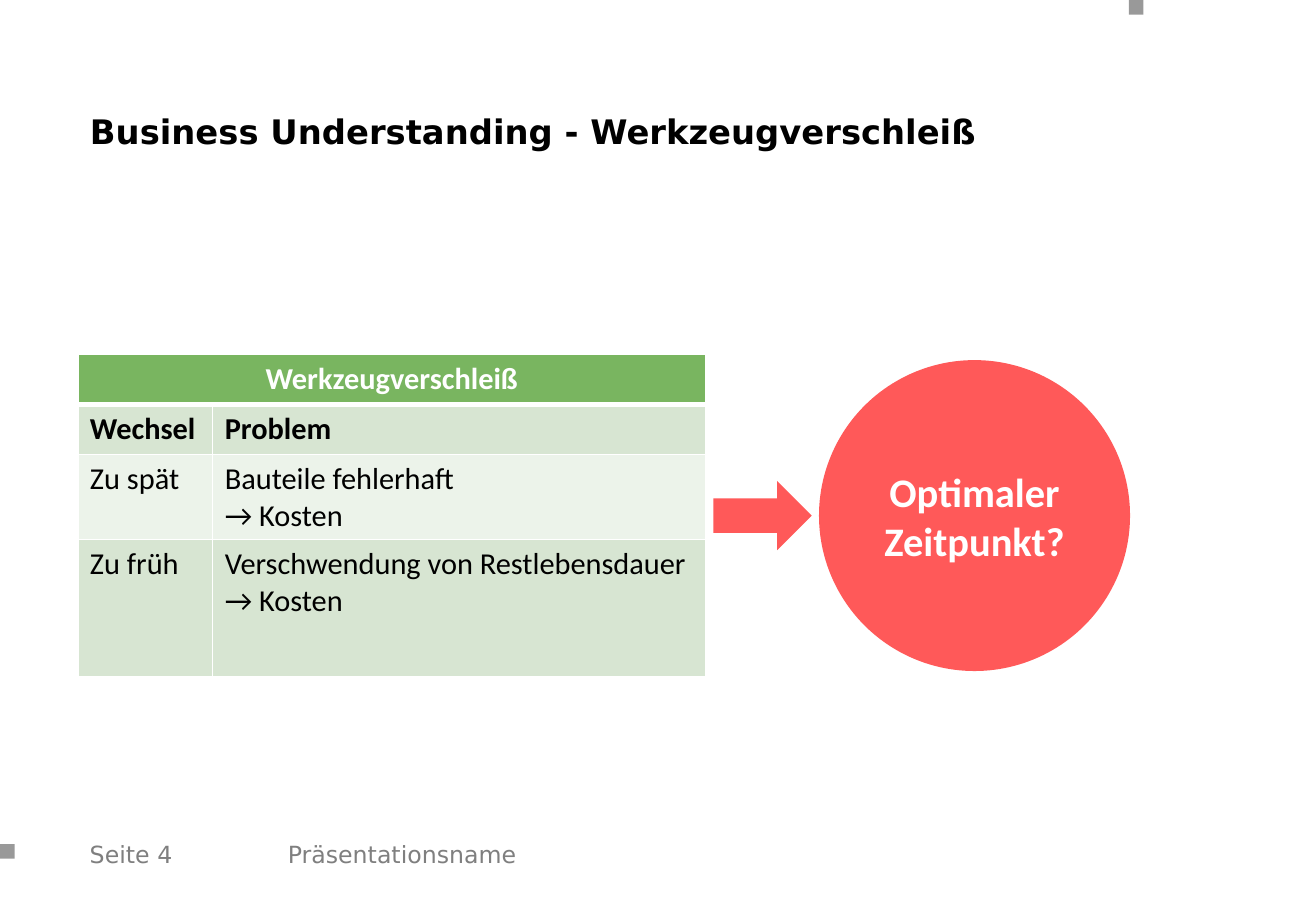
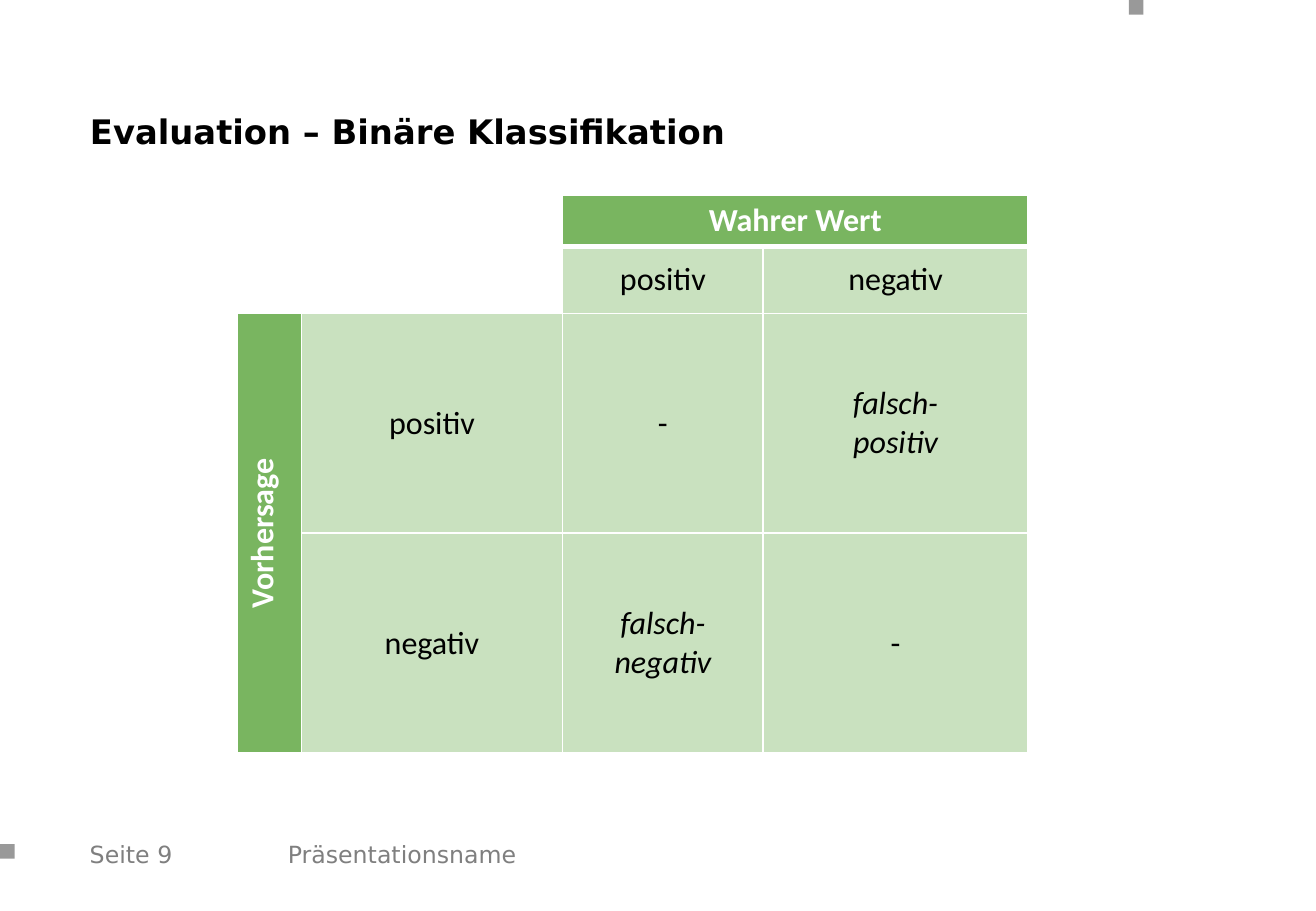
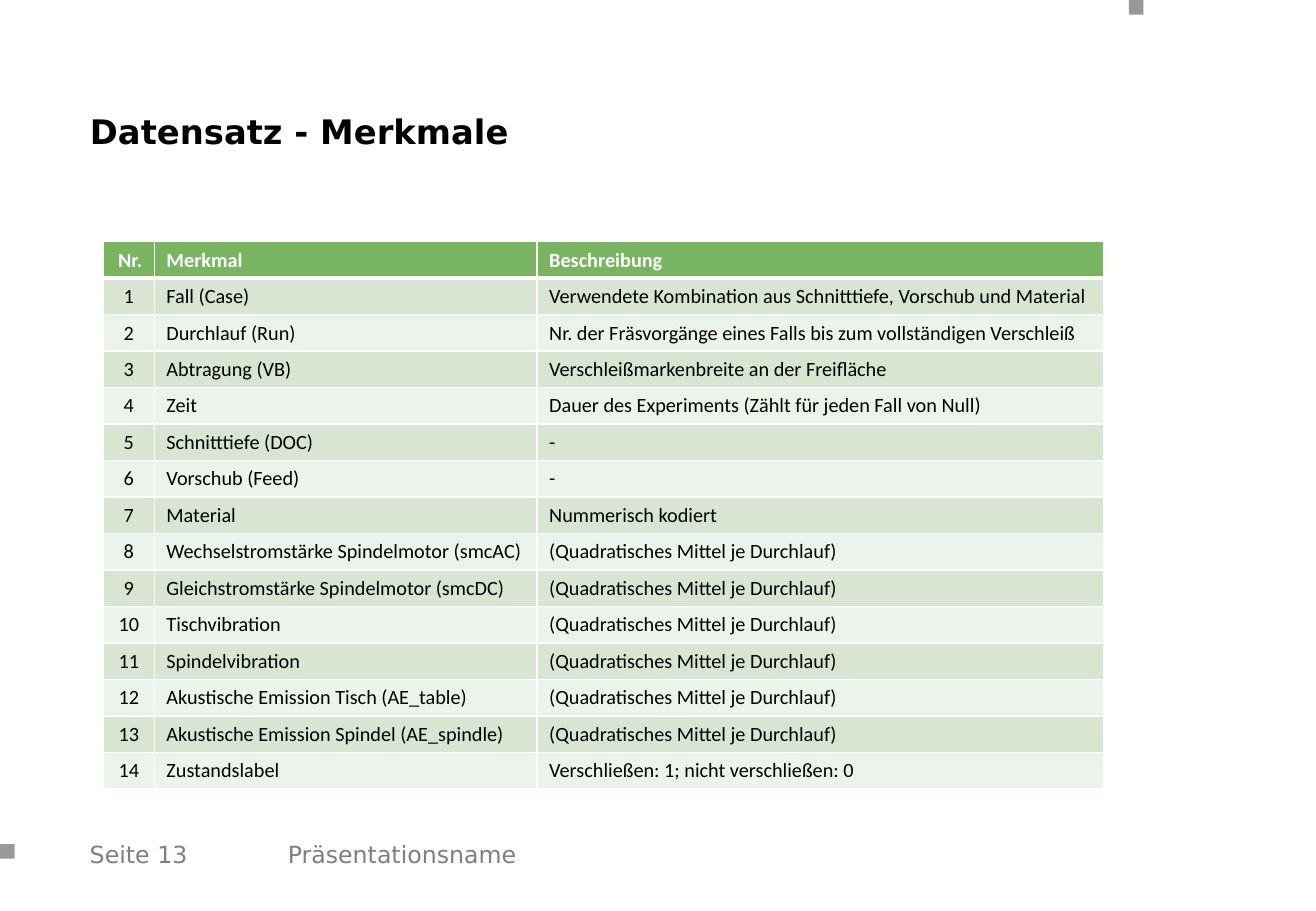
from dataclasses import dataclass

from lxml.etree import SubElement
from pptx import Presentation
from pptx.dml.color import RGBColor
from pptx.enum.shapes import MSO_SHAPE
from pptx.enum.text import MSO_ANCHOR, PP_ALIGN
from pptx.oxml.ns import qn
from pptx.util import Inches, Pt

BLACK = RGBColor(0x00, 0x00, 0x00)
WHITE = RGBColor(0xFF, 0xFF, 0xFF)
GRAY = RGBColor(0x7F, 0x7F, 0x7F)
RED = RGBColor(0xFF, 0x00, 0x00)
CORAL = RGBColor(0xFF, 0x59, 0x59)
GREEN = RGBColor(0x79, 0xB5, 0x60)
LEAF = RGBColor(0xC9, 0xE1, 0xBF)
BAND_DARK = RGBColor(0xD7, 0xE5, 0xD2)
BAND_LIGHT = RGBColor(0xEC, 0xF3, 0xEA)

FRAME_FONT = "DejaVu Sans"
BODY_FONT = "Calibri"

PAGE_WIDTH, PAGE_HEIGHT = 10.83, 7.5
LEFT, RIGHT = 0.64, 9.3
FOOTER_TOP, FOOTER_HEIGHT = 6.88, 0.3
MARK = 0.12


@dataclass
class CellStyle:
    fill: RGBColor
    color: RGBColor = BLACK
    bold: bool = False
    italic: bool = False
    align: PP_ALIGN = PP_ALIGN.LEFT


def box_of(left, top, width, height):
    return [Inches(length) for length in (left, top, width, height)]


def add_span(para, text, font, size, color, bold=False, italic=False):
    span = para.add_run()
    span.text = text
    span.font.name, span.font.size = font, Pt(size)
    span.font.bold, span.font.italic = bold, italic
    span.font.color.rgb = color


def add_filled_shape(page, kind, box, color, opacity=100):
    shape = page.shapes.add_shape(kind, *box_of(*box))
    shape.shadow.inherit = False
    shape.fill.solid()
    shape.fill.fore_color.rgb = color
    shape.line.fill.background()
    if opacity < 100:
        fill_color = next(shape.element.iter(qn("a:srgbClr")))
        SubElement(fill_color, qn("a:alpha"), val=str(opacity * 1000))
    return shape


def add_footer_text(page, left, width, text):
    box = page.shapes.add_textbox(*box_of(left, FOOTER_TOP, width, FOOTER_HEIGHT))
    frame = box.text_frame
    frame.word_wrap = True
    frame.vertical_anchor = MSO_ANCHOR.MIDDLE
    add_span(frame.paragraphs[0], text, FRAME_FONT, 14, GRAY)


def add_page(deck, title, number):
    """Add a slide with the shared title, edge marks and footer."""
    page = deck.slides.add_slide(deck.slide_layouts.get_by_name("Title Only"))
    heading = page.shapes.title
    heading.left, heading.top, heading.width, heading.height = box_of(
        LEFT, 0.59, RIGHT - LEFT, 1.02)
    heading.text_frame.vertical_anchor = MSO_ANCHOR.MIDDLE
    para = heading.text_frame.paragraphs[0]
    para.alignment, para.line_spacing = PP_ALIGN.LEFT, 0.9
    add_span(para, title, FRAME_FONT, 20, BLACK, bold=True)
    for left, top in ((RIGHT - 0.01, 0), (0, 6.95)):
        add_filled_shape(page, MSO_SHAPE.RECTANGLE, (left, top, MARK, MARK), BLACK, 40)
    add_footer_text(page, LEFT, 1.49, f"Seite {number}")
    add_footer_text(page, 2.27, 5.86, "Präsentationsname")
    return page


def set_borders(cell, row):
    """Draw white cell borders, thick between the header and the first row."""
    widths = {"L": 1, "R": 1, "T": 3 if row == 1 else 1, "B": 3 if row == 0 else 1}
    properties = cell._tc.get_or_add_tcPr()
    for side, width in widths.items():
        line = SubElement(properties, qn(f"a:ln{side}"), w=str(Pt(width)))
        SubElement(SubElement(line, qn("a:solidFill")), qn("a:srgbClr"), val=str(WHITE))


def fill_cell(cell, text, size, style):
    cell.fill.solid()
    cell.fill.fore_color.rgb = style.fill
    for index, line in enumerate(text.split("\n") if text else []):
        frame = cell.text_frame
        para = frame.add_paragraph() if index else frame.paragraphs[0]
        para.alignment = style.align
        add_span(para, line, BODY_FONT, size, style.color, style.bold, style.italic)


def add_grid(page, left, top, widths, heights, rows, size, style_of, merges=()):
    """Add a table; style_of(row, column, text) gives the look of each cell."""
    table = page.shapes.add_table(
        len(heights), len(widths), *box_of(left, top, sum(widths), sum(heights))).table
    table.first_row = table.horz_banding = False
    for column, width in zip(table.columns, widths):
        column.width = Inches(width)
    for row, height in zip(table.rows, heights):
        row.height = Inches(height)
    for first, last in merges:
        table.cell(*first).merge(table.cell(*last))
    for row, texts in enumerate(rows):
        for column, text in enumerate(texts):
            cell = table.cell(row, column)
            set_borders(cell, row)
            fill_cell(cell, text, size, style_of(row, column, text))
    return table


def band(row):
    return BAND_DARK if row % 2 else BAND_LIGHT


def wear_style(row, column, text):
    if row == 0:
        return CellStyle(GREEN, WHITE, bold=True, align=PP_ALIGN.CENTER)
    return CellStyle(band(row), bold=row == 1)


def matrix_style(row, column, text):
    if row < 2 and column < 2:
        return CellStyle(WHITE)
    if row == 0 or column == 0:
        return CellStyle(GREEN, WHITE, bold=True, align=PP_ALIGN.CENTER)
    return CellStyle(LEAF, italic=text.startswith("falsch"), align=PP_ALIGN.CENTER)


def feature_style(row, column, text):
    if row == 0:
        align = PP_ALIGN.LEFT if column else PP_ALIGN.RIGHT
        return CellStyle(GREEN, WHITE, bold=True, align=align)
    return CellStyle(band(row), align=PP_ALIGN.LEFT if column else PP_ALIGN.CENTER)


def add_wear_page(deck):
    page = add_page(deck, "Business Understanding - Werkzeugverschleiß", 4)
    widths, heights, top = (1.11, 4.06), (0.41, 0.41, 0.7, 1.13), 2.92
    rows = (
        ("Werkzeugverschleiß", ""),
        ("Wechsel", "Problem"),
        ("Zu spät", "Bauteile fehlerhaft\n→ Kosten"),
        ("Zu früh", "Verschwendung von Restlebensdauer\n→ Kosten"),
    )
    add_grid(page, LEFT, top, widths, heights, rows, 18, wear_style,
             merges=[((0, 0), (0, 1))])

    middle = top + sum(heights) / 2
    diameter, gap, arrow_height = 2.56, 0.06, 0.57
    circle_left = RIGHT - diameter
    circle = add_filled_shape(
        page, MSO_SHAPE.OVAL,
        (circle_left, middle - diameter / 2, diameter, diameter), RED, 65)
    circle.text_frame.word_wrap = True
    circle.text_frame.vertical_anchor = MSO_ANCHOR.MIDDLE
    para = circle.text_frame.paragraphs[0]
    para.alignment = PP_ALIGN.CENTER
    add_span(para, "Optimaler Zeitpunkt?", BODY_FONT, 24, WHITE, bold=True)

    arrow_left = LEFT + sum(widths) + gap
    add_filled_shape(
        page, MSO_SHAPE.RIGHT_ARROW,
        (arrow_left, middle - arrow_height / 2,
         circle_left - gap - arrow_left, arrow_height), CORAL)


def add_matrix_page(deck):
    page = add_page(deck, "Evaluation – Binäre Klassifikation", 9)
    rows = (
        ("", "", "Wahrer Wert", ""),
        ("", "", "positiv", "negativ"),
        ("Vorhersage", "positiv", "-", "falsch-\npositiv"),
        ("", "negativ", "falsch-negativ", "-"),
    )
    table = add_grid(page, 1.95, 1.61, (0.53, 2.15, 1.65, 2.18),
                     (0.42, 0.55, 1.81, 1.81), rows, 19, matrix_style,
                     merges=[((0, 2), (0, 3)), ((2, 0), (3, 0))])
    for cell in table.iter_cells():
        cell.vertical_anchor = MSO_ANCHOR.MIDDLE
        cell.margin_left = cell.margin_right = Inches(0.11)
    table.cell(2, 0)._tc.get_or_add_tcPr().set("vert", "vert270")


def add_feature_page(deck):
    page = add_page(deck, "Datensatz - Merkmale", 13)
    mean = "(Quadratisches Mittel je Durchlauf)"
    features = (
        ("Fall (Case)", "Verwendete Kombination aus Schnitttiefe, Vorschub und Material"),
        ("Durchlauf (Run)",
         "Nr. der Fräsvorgänge eines Falls bis zum vollständigen Verschleiß"),
        ("Abtragung (VB)", "Verschleißmarkenbreite an der Freifläche"),
        ("Zeit", "Dauer des Experiments (Zählt für jeden Fall von Null)"),
        ("Schnitttiefe (DOC)", "-"),
        ("Vorschub (Feed)", "-"),
        ("Material", "Nummerisch kodiert"),
        ("Wechselstromstärke Spindelmotor (smcAC)", mean),
        ("Gleichstromstärke Spindelmotor (smcDC)", mean),
        ("Tischvibration", mean),
        ("Spindelvibration", mean),
        ("Akustische Emission Tisch (AE_table)", mean),
        ("Akustische Emission Spindel (AE_spindle)", mean),
        ("Zustandslabel", "Verschließen: 1; nicht verschließen: 0"),
    )
    rows = [("Nr.", "Merkmal", "Beschreibung")]
    rows += [(str(number), *feature) for number, feature in enumerate(features, 1)]
    add_grid(page, 0.85, 1.99, (0.42, 3.15, 4.66), [0.3] * len(rows), rows, 12,
             feature_style)


def main():
    deck = Presentation()
    deck.slide_width, deck.slide_height = Inches(PAGE_WIDTH), Inches(PAGE_HEIGHT)
    add_wear_page(deck)
    add_matrix_page(deck)
    add_feature_page(deck)
    deck.save("out.pptx")


if __name__ == "__main__":
    main()
